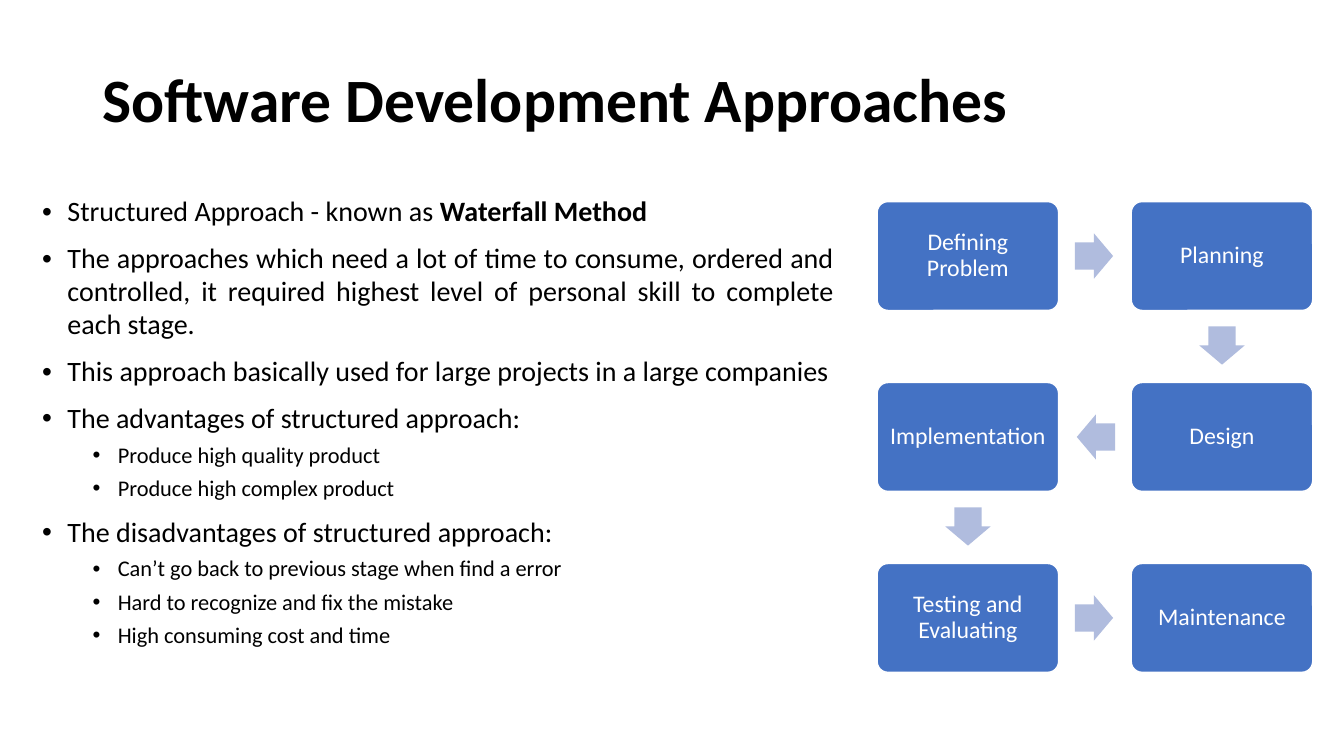
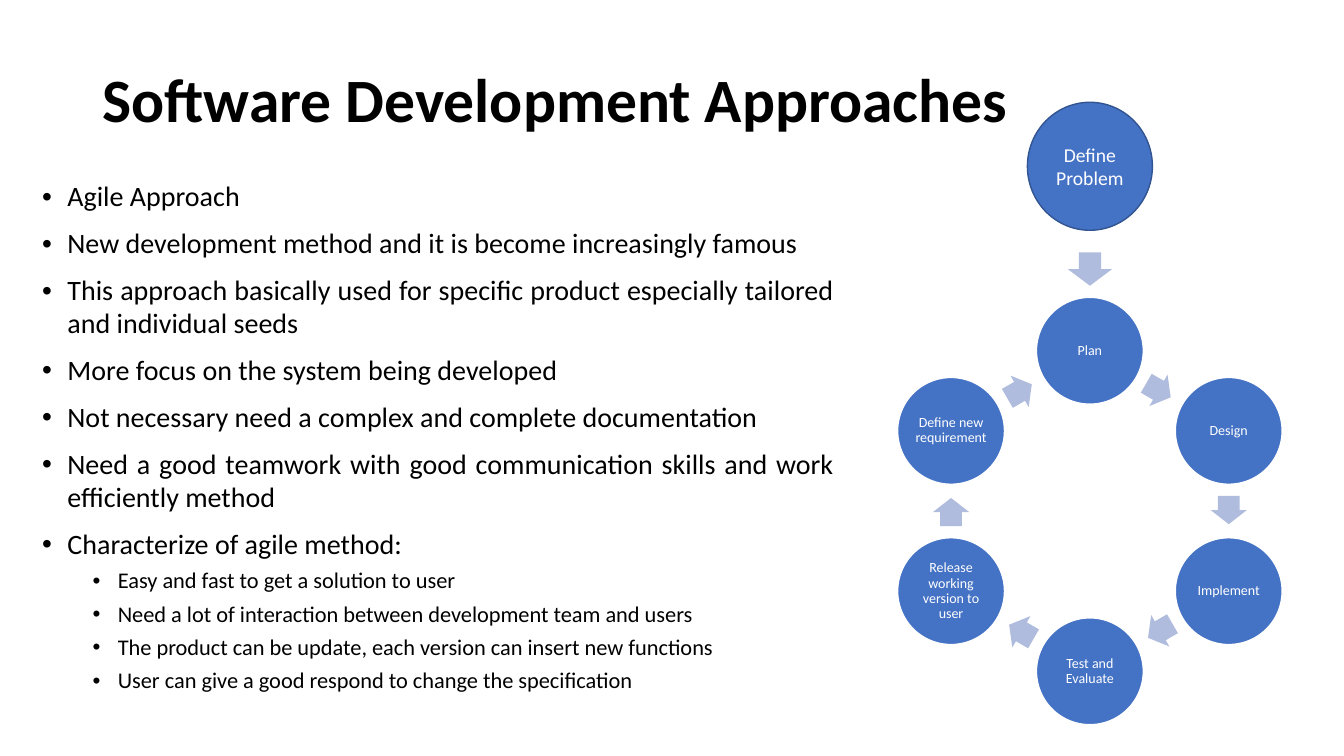
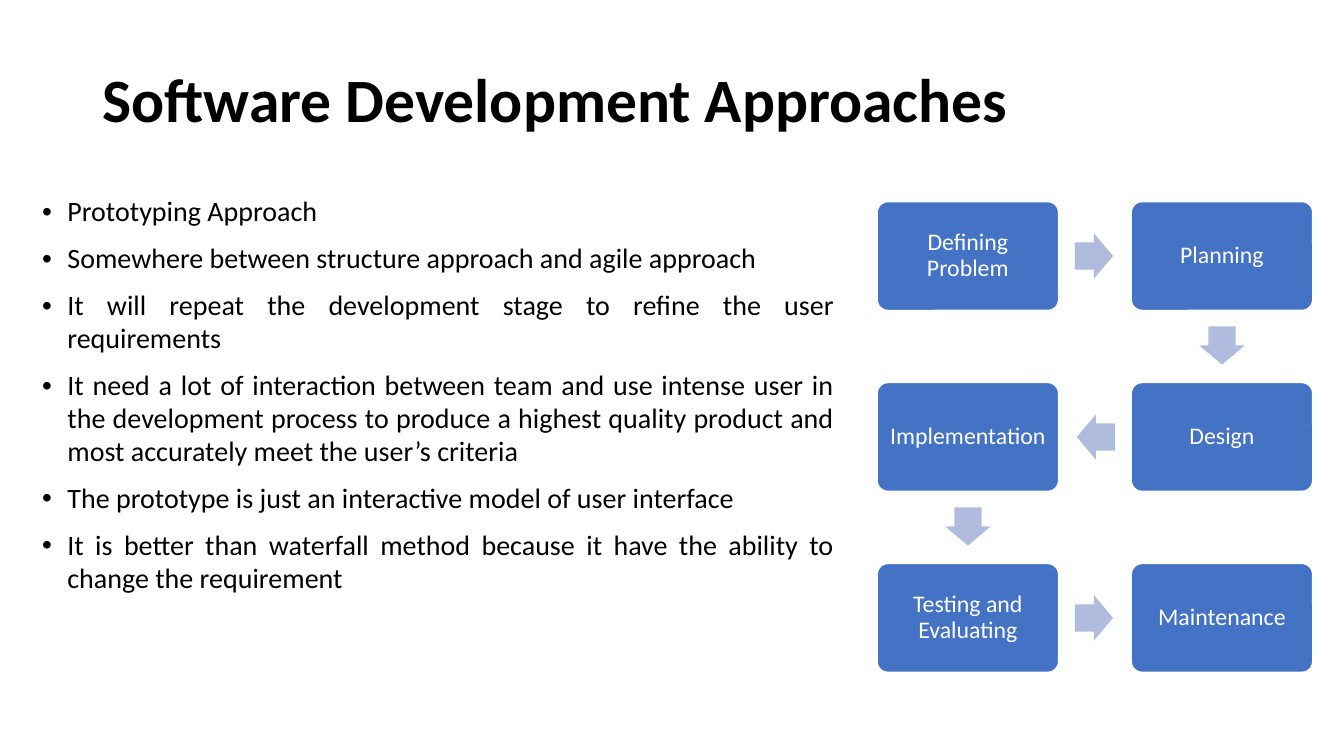
from math import atan2, cos, degrees, radians, sin

from lxml import etree
from pptx import Presentation
from pptx.dml.color import RGBColor
from pptx.enum.shapes import MSO_SHAPE
from pptx.enum.text import MSO_ANCHOR, PP_ALIGN
from pptx.oxml.ns import qn
from pptx.util import Inches, Pt

ROUND_BOX = MSO_SHAPE.ROUNDED_RECTANGLE
CIRCLE = MSO_SHAPE.OVAL
CONNECTOR_CIRCLE = MSO_SHAPE.FLOWCHART_CONNECTOR
ARROW = MSO_SHAPE.RIGHT_ARROW
MIDDLE, TOP = MSO_ANCHOR.MIDDLE, MSO_ANCHOR.TOP
LEFT, CENTER, JUSTIFY = PP_ALIGN.LEFT, PP_ALIGN.CENTER, PP_ALIGN.JUSTIFY

FONT = "Calibri"
COLORS = {
    "text": "000000",
    "node": "4472C4",
    "node_text": "FFFFFF",
    "node_line": "FFFFFF",
    "start_line": "325491",
    "arrow": "B0BCDE",
}

TITLE = "Software Development Approaches"
STAGES = ["Defining Problem", "Planning", "Design", "Implementation",
          "Testing and Evaluating", "Maintenance"]
CYCLE_START = "Define Problem"
CYCLE = ["Plan", "Design", "Implement", "Test and Evaluate",
         "Release working version to user", "Define new requirement"]

# Each point is its level followed by its runs; every second run is bold.
STRUCTURED = [
    (0, "Structured Approach - known as ", "Waterfall Method"),
    (0, "The approaches which need a lot of time to consume, ordered and controlled, "
        "it required highest level of personal skill to complete each stage."),
    (0, "This approach basically used for large projects in a large companies"),
    (0, "The advantages of structured approach:"),
    (1, "Produce high quality product"),
    (1, "Produce high complex product"),
    (0, "The disadvantages of structured approach:"),
    (1, "Can’t go back to previous stage when find a error"),
    (1, "Hard to recognize and fix the mistake"),
    (1, "High consuming cost and time"),
]
AGILE = [
    (0, "Agile Approach"),
    (0, "New development method and it is become increasingly famous"),
    (0, "This approach basically used for specific product especially tailored "
        "and individual seeds"),
    (0, "More focus on the system being developed"),
    (0, "Not necessary need a complex and complete documentation"),
    (0, "Need a good teamwork with good communication skills and work efficiently method"),
    (0, "Characterize of agile method:"),
    (1, "Easy and fast to get a solution to user"),
    (1, "Need a lot of interaction between development team and users"),
    (1, "The product can be update, each version can insert new functions"),
    (1, "User can give a good respond to change the specification"),
]
PROTOTYPING = [
    (0, "Prototyping Approach"),
    (0, "Somewhere between structure approach and agile approach"),
    (0, "It will repeat the development stage to refine the user requirements"),
    (0, "It need a lot of interaction between team and use intense user in the "
        "development process to produce a highest quality product and most accurately "
        "meet the user’s criteria"),
    (0, "The prototype is just an interactive model of user interface"),
    (0, "It is better than waterfall method because it have the ability to change "
        "the requirement"),
]

# Size, space before (points) and text indent (inches) of each level
LEVELS = [(20, 10, 0.25), (16, 5, 0.75)]
HANGING = 0.25
ARROW_LAG = 0.01


def color(name):
    return RGBColor.from_string(COLORS[name])


def set_all(target, values):
    for name, value in values.items():
        setattr(target, name, value)


def add_run(paragraph, text, size, color_name, bold=False):
    run = paragraph.add_run()
    run.text = text
    set_all(run.font, {"name": FONT, "size": Pt(size), "bold": bold})
    run.font.color.rgb = color(color_name)


def add_text_frame(slide, box, anchor):
    frame = slide.shapes.add_textbox(*map(Inches, box)).text_frame
    set_all(frame, {"word_wrap": True, "vertical_anchor": anchor})
    return frame


def add_title(slide):
    paragraph = add_text_frame(slide, (0.92, 0.4, 11.5, 1.23), MIDDLE).paragraphs[0]
    set_all(paragraph, {"alignment": LEFT, "line_spacing": 0.9})
    add_run(paragraph, TITLE, 44, "text", bold=True)


def add_bullet(paragraph, indent):
    properties = paragraph._p.get_or_add_pPr()
    properties.set("marL", str(Inches(indent)))
    properties.set("indent", str(-Inches(HANGING)))
    etree.SubElement(properties, qn("a:buFont")).set("typeface", "Arial")
    etree.SubElement(properties, qn("a:buChar")).set("char", "•")


def add_points(slide, points, top, height):
    frame = add_text_frame(slide, (0.32, top, 8.05, height), TOP)
    for i, (level, *runs) in enumerate(points):
        paragraph = frame.add_paragraph() if i else frame.paragraphs[0]
        size, space, indent = LEVELS[level]
        set_all(paragraph, {"level": level, "alignment": JUSTIFY,
                            "space_before": Pt(space), "line_spacing": 0.98})
        add_bullet(paragraph, indent)
        for j, text in enumerate(runs):
            add_run(paragraph, text, size, "text", bold=j % 2 == 1)


def add_centered(slide, kind, center, size, fill):
    (x, y), (width, height) = center, size
    shape = slide.shapes.add_shape(kind, Inches(x - width / 2), Inches(y - height / 2),
                                   Inches(width), Inches(height))
    shape.shadow.inherit = False
    shape.fill.solid()
    shape.fill.fore_color.rgb = color(fill)
    return shape


def add_node(slide, kind, center, size, text, font_size, insets,
             line="node_line", spacing=0.9):
    node = add_centered(slide, kind, center, size, "node")
    node.line.color.rgb = color(line)
    node.line.width = Pt(1)
    if kind == ROUND_BOX:
        node.adjustments[0] = 0.1
    side, end = map(Inches, insets)
    frame = node.text_frame
    set_all(frame, {"word_wrap": True, "vertical_anchor": MIDDLE,
                    "margin_left": side, "margin_right": side,
                    "margin_top": end, "margin_bottom": end})
    paragraph = frame.paragraphs[0]
    set_all(paragraph, {"alignment": CENTER, "line_spacing": spacing})
    add_run(paragraph, text, font_size, "node_text")


def add_arrow(slide, center, size, angle, shaft=0.6):
    arrow = add_centered(slide, ARROW, center, size, "arrow")
    arrow.line.fill.background()
    arrow.adjustments[0] = shaft
    arrow.rotation = angle % 360


def add_arrow_between(slide, start, end, size):
    """Point an arrow from start to end, set slightly back from their midpoint."""
    angle = atan2(end[1] - start[1], end[0] - start[0])
    center = ((start[0] + end[0]) / 2 - ARROW_LAG * cos(angle),
              (start[1] + end[1]) / 2 - ARROW_LAG * sin(angle))
    add_arrow(slide, center, size, round(degrees(angle)))


def add_waterfall(slide):
    """Lay the stages out in two columns, turning back on every other row."""
    centers = []
    for i, stage in enumerate(STAGES):
        row, step = divmod(i, 2)
        column = 1 - step if row % 2 else step
        centers.append((9.6 + column * 2.52, 2.54 + row * 1.795))
        add_node(slide, ROUND_BOX, centers[-1], (1.8, 1.08), stage, 17, (0.07, 0.07))
    for start, end in zip(centers, centers[1:]):
        add_arrow_between(slide, start, end, (0.38, 0.45))


def add_cycle(slide):
    x, y, radius = 10.81, 5.07, 1.59
    centers = []
    for i, step in enumerate(CYCLE):
        angle = radians(i * 360 / len(CYCLE) - 90)
        centers.append((x + radius * cos(angle), y + radius * sin(angle)))
        add_node(slide, CIRCLE, centers[-1], (1.06, 1.06), step, 10, (0.01, 0.01))
    for start, end in zip(centers, centers[1:] + centers[:1]):
        add_arrow_between(slide, start, end, (0.28, 0.36))
    add_arrow(slide, (x, 2.67), (0.33, 0.44), 90, shaft=0.5)
    add_node(slide, CONNECTOR_CIRCLE, (x, 1.65), (1.24, 1.27), CYCLE_START, 14,
             (0.1, 0.05), line="start_line", spacing=1.0)


SLIDES = [
    (STRUCTURED, 1.89, 5.22, add_waterfall),
    (AGILE, 1.74, 5.45, add_cycle),
    (PROTOTYPING, 1.89, 5.22, add_waterfall),
]


def main():
    deck = Presentation()
    set_all(deck, {"slide_width": Inches(13.33), "slide_height": Inches(7.5)})
    blank = deck.slide_layouts[6]
    for points, top, height, add_diagram in SLIDES:
        slide = deck.slides.add_slide(blank)
        add_title(slide)
        add_points(slide, points, top, height)
        add_diagram(slide)
    deck.save("out.pptx")


if __name__ == "__main__":
    main()
